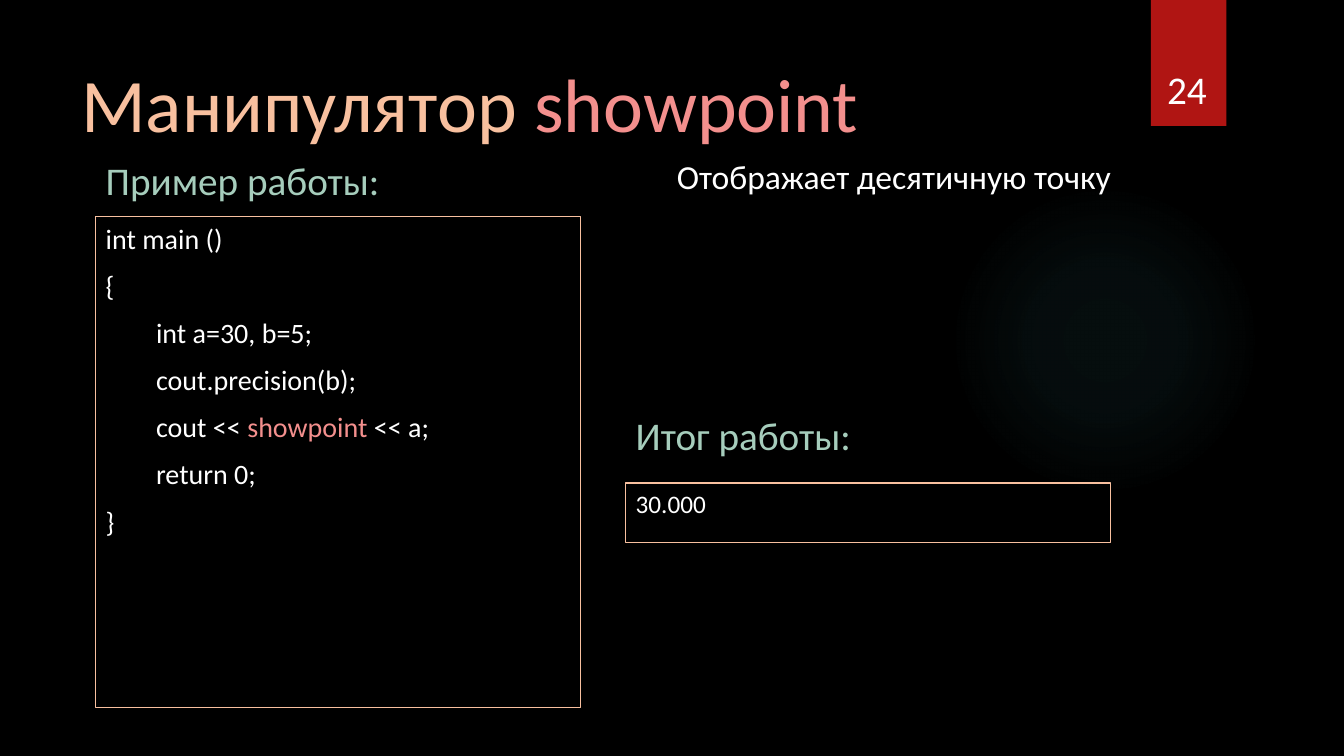
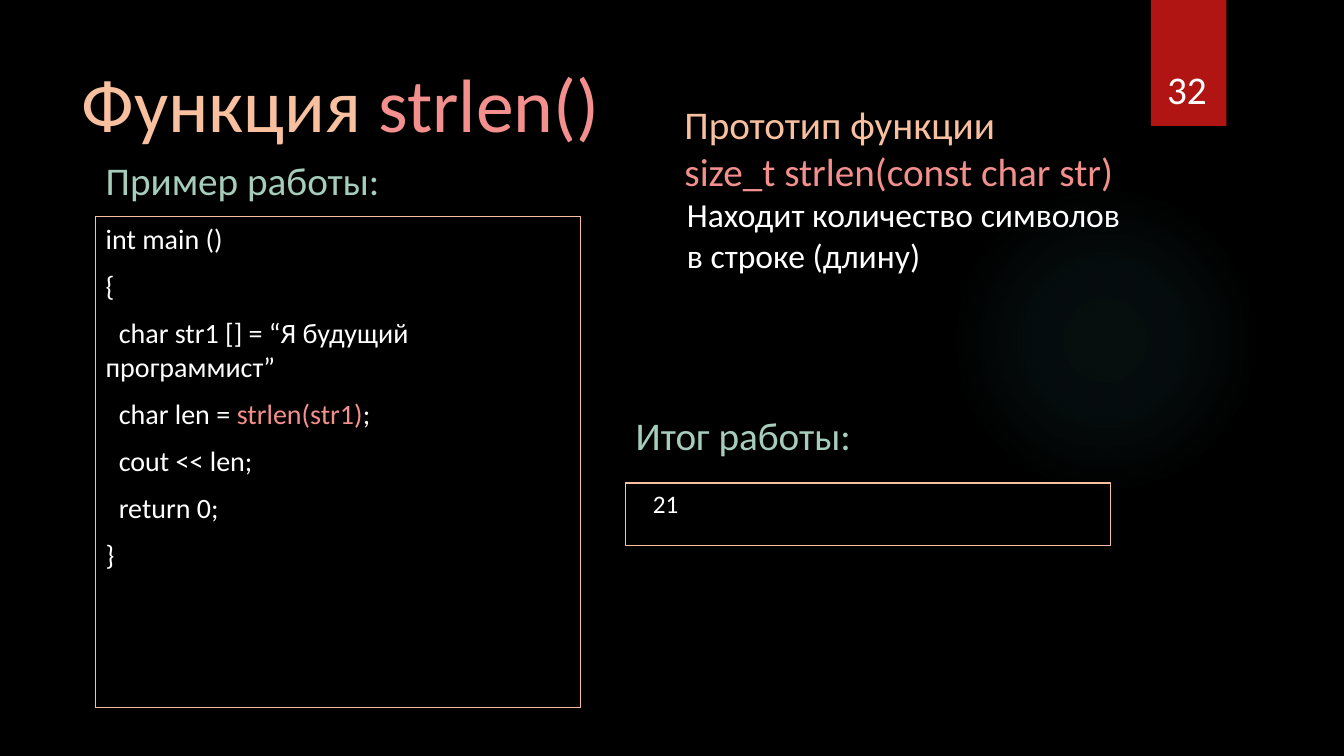
from lxml import etree
from pptx import Presentation, util as u
from pptx.dml.color import RGBColor
from pptx.enum import shapes, text
from pptx.oxml import ns

COLS, ROWS = 160, 90
FONT = "Calibri"
BLACK, WHITE, RED = "000000", "FFFFFF", "B01513"
PEACH, PINK, MINT, TEAL = "F8C09F", "F38F8D", "A6CDBC", "50B9C1"
LEFT, RIGHT, WIDE = 11.4, 74.5, 57.75
GLOW = ((0, 7), (36, 6), (69, 0))


def tint(code):
    return RGBColor.from_string(code)


class Deck:
    def __init__(self):
        self.prs = Presentation()
        self.prs.slide_width = u.Inches(13.33)
        self.prs.slide_height = u.Inches(7.5)
        back = self.prs.slide_master.background.fill
        back.solid()
        back.fore_color.rgb = tint(BLACK)
        self.slide = None

    def place(self, col, row, wide, high):
        """Turn grid columns and rows into slide lengths."""
        dx = self.prs.slide_width / COLS
        dy = self.prs.slide_height / ROWS
        return [int(n) for n in (col * dx, row * dy, wide * dx, high * dy)]

    def page(self, num):
        """Start a slide with its glow, red band and number."""
        self.slide = self.prs.slides.add_slide(self.prs.slide_layouts[6])
        self.glow(113, 22, 37, 37)
        self.shape("RECTANGLE", (137, 0, 9, 15), fill=RED)
        self.label((135.8, 3.85, 11, 10.1), [[(num, WHITE)]], 28,
                   align=text.PP_ALIGN.CENTER, anchor=text.MSO_ANCHOR.BOTTOM)

    def shape(self, kind, area, fill=None, line=None):
        item = self.slide.shapes.add_shape(
            getattr(shapes.MSO_SHAPE, kind), *self.place(*area))
        item.shadow.inherit = False
        if fill:
            item.fill.solid()
            item.fill.fore_color.rgb = tint(fill)
        else:
            item.fill.background()
        if line:
            item.line.color.rgb = tint(line)
            item.line.width = u.Pt(0.75)
        else:
            item.line.fill.background()
        return item

    def glow(self, *area):
        """Draw a circle that fades out from its centre."""
        item = self.shape("OVAL", area)
        props = item._element.spPr
        props.remove(props.find(ns.qn("a:noFill")))
        grad = etree.Element(ns.qn("a:gradFill"), rotWithShape="1")
        stops = etree.SubElement(grad, ns.qn("a:gsLst"))
        for pos, alpha in GLOW:
            stop = etree.SubElement(stops, ns.qn("a:gs"), pos=str(pos * 1000))
            color = etree.SubElement(stop, ns.qn("a:srgbClr"), val=TEAL)
            etree.SubElement(color, ns.qn("a:alpha"), val=str(alpha * 1000))
        ring = etree.SubElement(grad, ns.qn("a:path"), path="circle")
        etree.SubElement(ring, ns.qn("a:fillToRect"),
                         {side: "50000" for side in "ltrb"})
        props.find(ns.qn("a:prstGeom")).addnext(grad)

    def put(self, item, lines, size, align=text.PP_ALIGN.LEFT,
            anchor=text.MSO_ANCHOR.TOP, gap=0, dents=()):
        """Fill a shape with lines of (text, colour) runs; dents are inches."""
        frame = item.text_frame
        frame.word_wrap = True
        frame.vertical_anchor = anchor
        for i, line in enumerate(lines):
            para = frame.add_paragraph() if i else frame.paragraphs[0]
            para.alignment = align
            para.space_before = u.Pt(gap)
            if dents and dents[i]:
                props = para._p.get_or_add_pPr()
                props.set("marL", "0")
                props.set("indent", str(u.Inches(dents[i])))
            for words, color in line:
                run = para.add_run()
                run.text = words
                run.font.name = FONT
                run.font.size = u.Pt(size)
                run.font.color.rgb = tint(color)

    def label(self, area, lines, size, **style):
        item = self.slide.shapes.add_textbox(*self.place(*area))
        self.put(item, lines, size, **style)

    def title(self, lead, name):
        self.label((8.5, 6.2, 109.5, 11.8), [[(lead, PEACH), (name, PINK)]], 54)

    def head(self, col, row, words):
        self.label((col, row, 50, 6.85), [[(words, MINT)]], 28)

    def box(self, area, lines, size, dents):
        item = self.shape("RECTANGLE", area, line=PEACH)
        self.put(item, lines, size, gap=9.6, dents=dents)

    def demo(self, body, dent, result, high, shift=0):
        """Show a program on the left and its output on the right."""
        self.head(LEFT, 18, "Пример работы:")
        start, end = ["int main ()", "{"], ["}"]
        lines = [[(words, WHITE)] for words in start]
        lines += [[(part, PINK if i % 2 else WHITE)
                   for i, part in enumerate(row)] for row in body]
        lines += [[(words, WHITE)] for words in end]
        dents = [0] * len(start) + [dent] * len(body) + [0] * len(end)
        self.box((LEFT, 25.8, WIDE, 58.45), lines, 20, dents)
        self.head(RIGHT, 48.35, "Итог работы:")
        self.box((RIGHT, 57.5, WIDE, high), [[(result, WHITE)]], 18, [shift])

    def note(self, area, *rows):
        self.label(area, [[(row, WHITE)] for row in rows], 24)


def main():
    deck = Deck()

    deck.page("24")
    deck.title("Манипулятор ", "showpoint")
    deck.demo([["int a=30, b=5;"],
               ["cout.precision(b);"],
               ["cout << ", "showpoint ", "<< a;"],
               ["return 0;"]], 0.5, "30.000", 7.1)
    deck.note((79.4, 18, 54.4, 6), "Отображает десятичную точку")

    deck.page("32")
    deck.title("Функция ", "strlen()")
    deck.demo([["char str1 [] = “Я будущий программист”"],
               ["char len = ", "strlen(str1)", ";"],
               ["cout << len;"],
               ["return 0;"]], 0.13, "21", 7.45, 0.17)
    deck.note((80.6, 22.55, 55.3, 10.9),
              "Находит количество символов", "в строке (длину)")
    deck.label((80.3, 11.3, 74.3, 12.5),
               [[("Прототип функции", PEACH)],
                [("size_t strlen(const char str)", PINK)]], 28)

    deck.prs.save("out.pptx")


if __name__ == "__main__":
    main()
